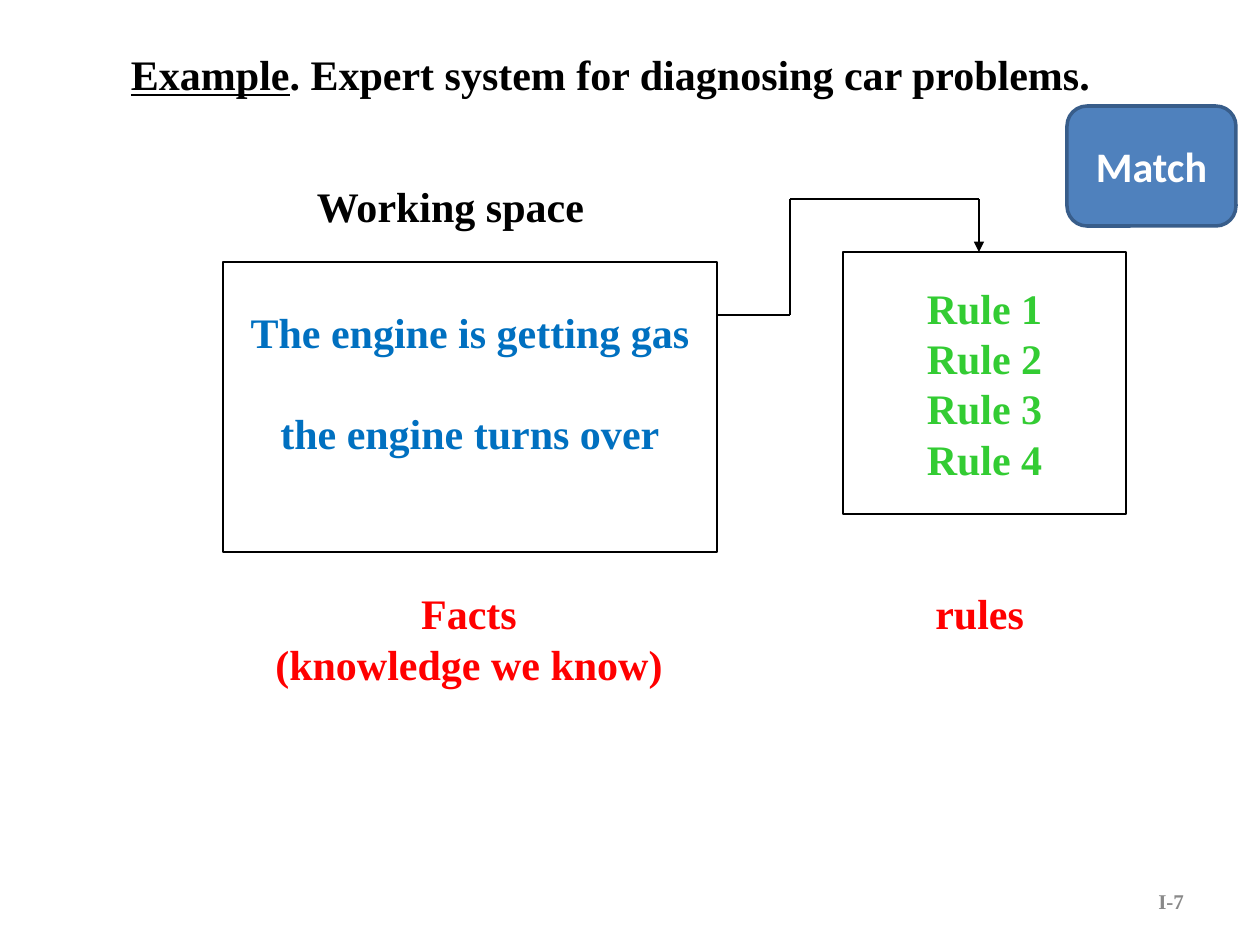
from itertools import pairwise

from lxml.etree import SubElement
from pptx import Presentation
from pptx.dml.color import RGBColor
from pptx.enum.shapes import MSO_CONNECTOR, MSO_SHAPE
from pptx.enum.text import MSO_ANCHOR, MSO_AUTO_SIZE, PP_ALIGN
from pptx.oxml.ns import qn
from pptx.util import Emu, Pt

SCALE = 914400 / 126
MID, TOP = MSO_ANCHOR.MIDDLE, MSO_ANCHOR.TOP
CENTER, RIGHT = PP_ALIGN.CENTER, PP_ALIGN.RIGHT


def px(*nums):
    return [Emu(round(n * SCALE)) for n in nums]


def color(code):
    return RGBColor.from_string(code)


def style(item, **values):
    for name, value in values.items():
        setattr(item, name, value)


class Deck:
    font = {"name": "Times New Roman", "size": Pt(24), "bold": True}
    ink = "000000"

    def __init__(self, show):
        self.slide = show.slides.add_slide(show.slide_layouts[5])
        self.shapes = self.slide.shapes

    def text(self, shape, lines, ink, align=CENTER, anchor=TOP,
             wrap=False, gap=0, foot=6, **font):
        frame = shape.text_frame
        side, top, base = px(13, 6, foot)
        style(frame, word_wrap=wrap, vertical_anchor=anchor,
              auto_size=MSO_AUTO_SIZE.NONE, margin_left=side,
              margin_right=side, margin_top=top, margin_bottom=base)
        for i, line in enumerate(lines):
            para = frame.add_paragraph() if i else frame.paragraphs[0]
            style(para, alignment=align, space_before=Pt(gap if i else 0))
            for words, under in line if isinstance(line, list) else [(line, False)]:
                run = para.add_run()
                run.text = words
                style(run.font, **{**self.font, "underline": under, **font})
                run.font.color.rgb = color(ink)

    def title(self, box, runs):
        shape = self.shapes.title
        style(shape, **dict(zip(("left", "top", "width", "height"), px(*box))))
        self.text(shape, [runs], self.ink, RIGHT)

    def label(self, box, lines, ink, **form):
        self.text(self.shapes.add_textbox(*px(*box)), lines, ink, **form)

    def panel(self, box, lines, ink, kind=MSO_SHAPE.RECTANGLE, fill=None,
              edge="000000", width=0.75, **form):
        shape = self.shapes.add_shape(kind, *px(*box))
        shape.shadow.inherit = False
        if fill:
            shape.fill.solid()
            shape.fill.fore_color.rgb = color(fill)
        else:
            shape.fill.background()
        shape.line.color.rgb = color(edge)
        shape.line.width = Pt(width)
        self.text(shape, lines, ink, anchor=MID, **form)

    def arrow(self, points):
        for start, end in pairwise(points):
            part = self.shapes.add_connector(
                MSO_CONNECTOR.STRAIGHT, *px(*start, *end))
            part.line.color.rgb = color(self.ink)
            part.line.width = Pt(0.75)
            props = part._element.spPr
            SubElement(props, qn("a:effectLst"))
        SubElement(props.find(qn("a:ln")), qn("a:tailEnd"), type="triangle")


def main():
    show = Presentation()
    show.slide_width, show.slide_height = px(1260, 945)
    deck = Deck(show)
    deck.title((116, 42, 987, 63), [
        ("Example", True),
        (". Expert system for diagnosing car problems.", False)])
    deck.panel((223, 262, 494, 290),
               ["The engine is getting gas", "the engine turns over"],
               "0070C0", gap=29, foot=56)
    deck.panel((843, 252, 283, 262),
               [f"Rule {n}" for n in range(1, 5)], "33CC33")
    deck.arrow([(717, 315), (790, 315), (790, 199), (979, 199), (979, 252)])
    deck.label((302, 175, 295, 63), ["Working space"], deck.ink, align=RIGHT)
    deck.label((263, 582, 412, 113), ["Facts", "(knowledge we know)"], "FF0000")
    deck.label((924, 582, 113, 63), ["rules"], "FF0000", align=RIGHT)
    deck.label((903, 876, 294, 50), ["I-7"], "898989", align=RIGHT,
               anchor=MID, wrap=True, size=Pt(12))
    deck.panel((1067, 106, 169, 120), ["Match"], "FFFFFF",
               kind=MSO_SHAPE.FLOWCHART_ALTERNATE_PROCESS, fill="4F81BD",
               edge="385D8A", width=2, wrap=True, name="Calibri")
    show.save("out.pptx")


if __name__ == "__main__":
    main()
